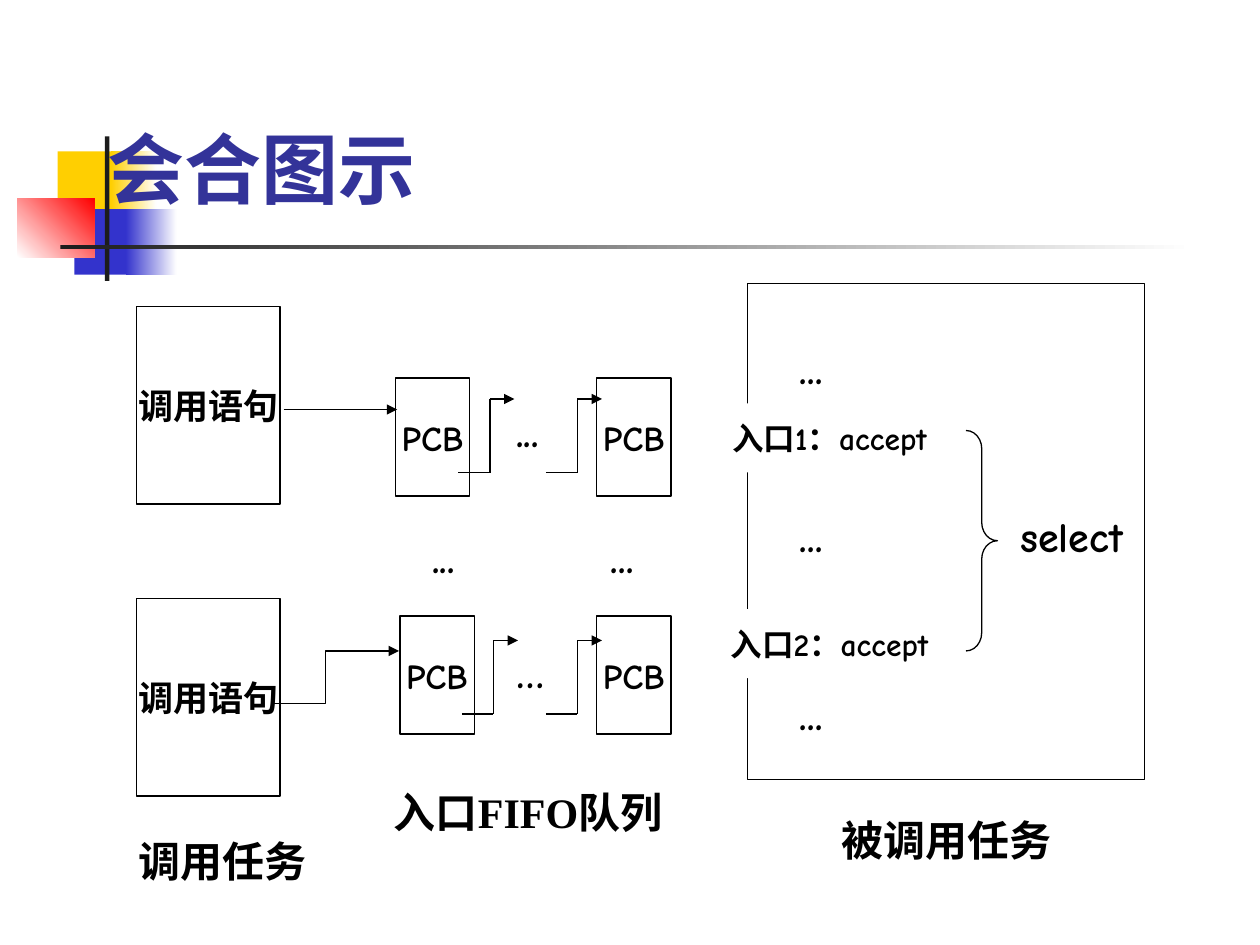
"""Builds the rendezvous diagram slide: calling tasks, entry FIFO queues and the called task."""
from lxml import etree
from pptx import Presentation
from pptx.dml.color import RGBColor
from pptx.enum import shapes, text
from pptx.oxml import ns
from pptx.util import Pt

THEME = {
    "ink": "000000", "title": "333399", "paper": "FFFFFF", "bar": "1C1C1C",
    "yellow": "FFCF01", "blue": "3333CC", "red": "FF0000",
    "comic": "Comic Neue", "serif": "Times New Roman", "head": "Karla",
    "title_size": 44, "label": 24, "box": 20, "entry": 18, "line": 0.75,
}
TITLE = "会合图示"
DECOR = [
    ((33, 86.5, 35, 37.5), ("yellow",), 0),
    ((63.5, 86.5, 26, 37.5), ("yellow", "paper"), 0),
    ((42.5, 119.5, 33, 37.5), ("blue",), 0),
    ((72, 119.5, 29, 37.5), ("blue", "paper"), 0),
    ((10, 113.5, 44, 33.5), ("paper", "red"), 45),
    ((60, 78, 2.5, 82.5), ("bar",), 0),
    ((34.5, 140, 648, 2.5), ("bar", "paper"), 0),
]
CALLED_TASK = (427, 162, 227, 283.5)
ENTRIES = [("入口1：accept", 230.5), ("入口2：accept", 348)]
CALLERS = [("调用语句", 175), ("调用语句", 342)]
QUEUES = [
    {"box_y": 216, "step_y": 270, "first_x": 226, "first_step_x": 262},
    {"box_y": 352, "step_y": 408, "first_x": 228.5, "first_step_x": 264},
]
LAST_X, LAST_STEP_X = 341, 312
LABELS = [
    ("被调用任务", 474, 462, 150, "serif"),
    ("select", 576, 288, 84, "comic"),
    ("...", 450, 192, 60, "comic"),
    ("...", 450, 288, 60, "comic"),
    ("...", 450, 390, 60, "comic"),
    ("...", 240, 300, 42, "comic"),
    ("...", 342, 300, 42, "comic"),
    ("...", 288, 228, 36, "comic"),
    ("…", 288, 366, 36, "comic"),
    ("调用任务", 72, 474, 120, "serif"),
    ("入口FIFO队列", 218, 446, 187, "serif"),
]
CALL_ARROW = [(162, 234), (227, 234)]
CALL_ELBOW = [(156, 402), (186, 402), (186, 372), (228, 372)]


def rgb(name):
    return RGBColor.from_string(THEME[name])


def write(tf, words, size, font="comic", color="ink", align=text.PP_ALIGN.LEFT):
    tf.text = words
    p = tf.paragraphs[0]
    p.alignment = align
    f = p.runs[0].font
    f.size, f.name, f.bold = Pt(THEME[size]), THEME[font], True
    f.color.rgb = rgb(color)


def outline(sp):
    sp.line.color.rgb = rgb("ink")
    sp.line.width = Pt(THEME["line"])


def arrowhead(sp):
    etree.SubElement(sp.line._get_or_add_ln(), ns.qn("a:tailEnd"), type="triangle")


def shape(parent, box, fills=(), angle=0, lined=False, kind=shapes.MSO_SHAPE.RECTANGLE):
    sp = parent.add_shape(kind, *map(Pt, box))
    sp.shadow.inherit = False
    if len(fills) == 2:
        sp.fill.gradient()
        sp.fill.gradient_angle = angle
        for stop, name in zip(sp.fill.gradient_stops, fills):
            stop.color.rgb = rgb(name)
    elif fills:
        sp.fill.solid()
        sp.fill.fore_color.rgb = rgb(fills[0])
    else:
        sp.fill.background()
    if lined:
        outline(sp)
    else:
        sp.line.fill.background()
    return sp


def text_shape(parent, words, box, size, **look):
    sp = shape(parent, box, **look)
    tf = sp.text_frame
    tf.word_wrap = False
    tf.vertical_anchor = text.MSO_ANCHOR.MIDDLE
    write(tf, words, size, align=text.PP_ALIGN.CENTER)


def label(parent, words, x, y, width, font):
    tf = parent.add_textbox(*map(Pt, (x, y, width, 36))).text_frame
    tf.word_wrap = True
    tf.auto_size = text.MSO_AUTO_SIZE.SHAPE_TO_FIT_TEXT
    write(tf, words, "label", font)


def line(parent, start, end):
    sp = parent.add_connector(shapes.MSO_CONNECTOR.STRAIGHT, *map(Pt, start + end))
    outline(sp)
    etree.SubElement(sp._element.spPr, ns.qn("a:effectLst"))
    return sp


def step(parent, x, y):
    points = [(x, y), (x + 18, y), (x + 18, y - 42), (x + 32, y - 42)]
    parts = [line(parent, a, b) for a, b in zip(points, points[1:])]
    arrowhead(parts[-1])


def pcb(parent, x, y):
    text_shape(parent, "PCB", (x, y, 42.5, 67.5), "box", lined=True)


def main():
    prs = Presentation()
    prs.slide_width, prs.slide_height = Pt(720), Pt(540)
    s = prs.slides.add_slide(prs.slide_layouts[5])
    tree = s.shapes

    for box, fills, angle in DECOR:
        shape(tree, box, fills, angle)

    title = tree.title
    title.left, title.top, title.width, title.height = map(Pt, (54, 36, 612, 90))
    title.text_frame.vertical_anchor = text.MSO_ANCHOR.BOTTOM
    title.text_frame.auto_size = text.MSO_AUTO_SIZE.NONE
    write(title.text_frame, TITLE, "title_size", "head", "title")
    title.element.getparent().append(title.element)

    shape(tree, CALLED_TASK, lined=True)
    for words, y in ENTRIES:
        text_shape(tree, words, (414.5, y, 119, 39.5), "entry", fills=("paper",))
    brace = shape(tree, (552, 246, 18, 126), lined=True, kind=shapes.MSO_SHAPE.RIGHT_BRACE)
    brace.adjustments[0] = 0.58

    for q in QUEUES:
        pcb(tree, LAST_X, q["box_y"])
        first = tree.add_group_shape().shapes
        pcb(first, q["first_x"], q["box_y"])
        step(first, q["first_step_x"], q["step_y"])
        step(tree.add_group_shape().shapes, LAST_STEP_X, q["step_y"])

    for words, y in CALLERS:
        text_shape(tree, words, (78, y, 82, 113), "box", lined=True)
    for item in LABELS:
        label(tree, *item)

    arrowhead(line(tree, *CALL_ARROW))
    builder = tree.build_freeform(*CALL_ELBOW[0], scale=Pt(1))
    builder.add_line_segments(CALL_ELBOW[1:], close=False)
    elbow = builder.convert_to_shape()
    elbow.shadow.inherit = False
    elbow.fill.background()
    outline(elbow)
    arrowhead(elbow)

    prs.save("out.pptx")


if __name__ == "__main__":
    main()
